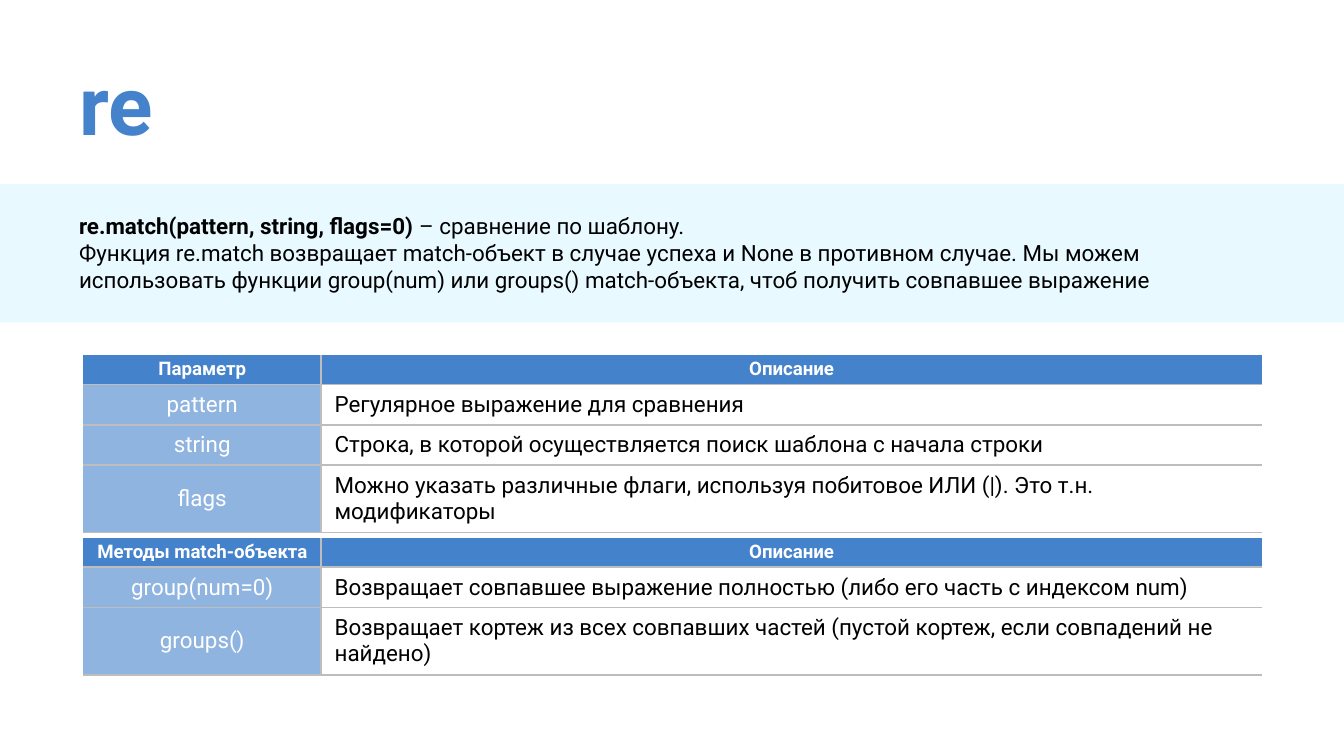
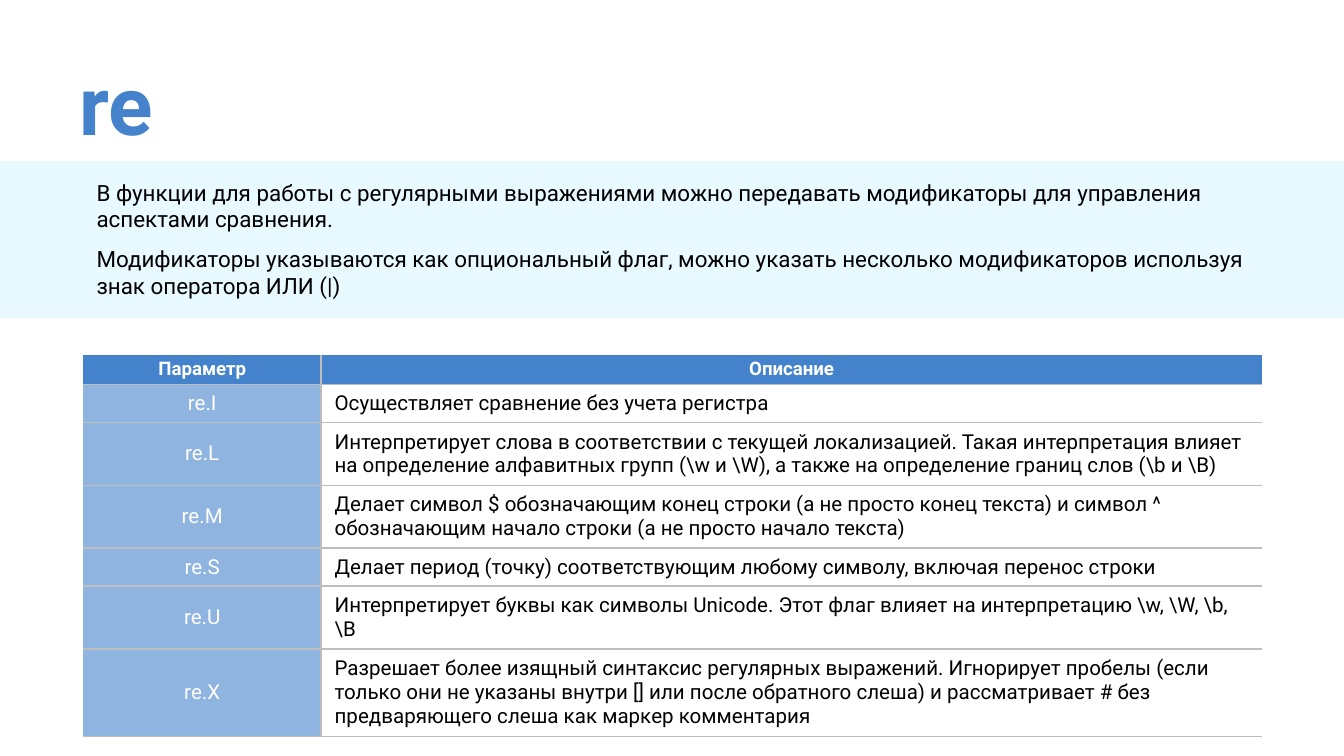
from pptx import Presentation
from pptx.dml.color import RGBColor
from pptx.enum.shapes import MSO_SHAPE
from pptx.enum.text import MSO_ANCHOR, MSO_AUTO_SIZE, PP_ALIGN
from pptx.util import Inches, Pt
from lxml.etree import SubElement
from pptx.oxml.ns import qn

# Colours
BLUE = RGBColor(0x44, 0x82, 0xCC)
SOFT = RGBColor(0x8F, 0xB4, 0xE0)
PALE = RGBColor(0xE8, 0xF9, 0xFF)
GREY = RGBColor(0xBD, 0xBD, 0xBD)
WHITE = RGBColor(0xFF, 0xFF, 0xFF)
BLACK = RGBColor(0x00, 0x00, 0x00)

# Grid
COLS = (1.77, 7)
LEFT, TOP, WIDE = 0.62, 2.64, 8.78
HEAD, ROW = 0.22, 0.2

# Content: band (top, height), text box (left, top, width, height),
# paragraphs as lists of (text, bold), tables as (top, height, size, rows)
PAGES = [
    {
        "band": (1.37, 1.03),
        "box": (0.49, 1.53, 8.9, 0.71),
        "gap": 0,
        "text": [
            [("re.match(pattern, string, flags=0) ", True),
             ("– сравнение по шаблону.", False)],
            [("Функция re.match возвращает match-объект в случае успеха и None "
              "в противном случае. Мы можем использовать функции group(num) или "
              "groups() match-объекта, чтоб получить совпавшее выражение", False)],
        ],
        "tables": [
            (TOP, 1.12, 12, [
                ("Параметр", "Описание"),
                ("pattern", "Регулярное выражение для сравнения"),
                ("string", "Строка, в которой осуществляется поиск шаблона "
                           "с начала строки"),
                ("flags", "Можно указать различные флаги, используя побитовое "
                          "ИЛИ (|). Это т.н. модификаторы"),
            ]),
            (4, 1.02, 12, [
                ("Методы match-объекта", "Описание"),
                ("group(num=0)", "Возвращает совпавшее выражение полностью "
                                 "(либо его часть с индексом num)"),
                ("groups()", "Возвращает кортеж из всех совпавших частей "
                             "(пустой кортеж, если совпадений не найдено)"),
            ]),
        ],
    },
    {
        "band": (1.2, 1.17),
        "box": (LEFT, 1.28, WIDE, 1.01),
        "gap": 7,
        "text": [
            [("В функции для работы с регулярными выражениями можно передавать "
              "модификаторы для управления аспектами сравнения.", False)],
            [("Модификаторы указываются как опциональный флаг, можно указать "
              "несколько модификаторов используя знак оператора ИЛИ (|)", False)],
        ],
        "tables": [
            (TOP, 2.66, 11, [
                ("Параметр", "Описание"),
                ("re.I", "Осуществляет сравнение без учета регистра"),
                ("re.L", "Интерпретирует слова в соответствии с текущей "
                         "локализацией. Такая интерпретация влияет на определение "
                         "алфавитных групп (\\w и \\W), а также на определение "
                         "границ слов (\\b и \\B)"),
                ("re.M", "Делает символ $ обозначающим конец строки (а не просто "
                         "конец текста) и символ ^ обозначающим начало строки "
                         "(а не просто начало текста)"),
                ("re.S", "Делает период (точку) соответствующим любому символу, "
                         "включая перенос строки"),
                ("re.U", "Интерпретирует буквы как символы Unicode. Этот флаг "
                         "влияет на интерпретацию \\w, \\W, \\b, \\B"),
                ("re.X", "Разрешает более изящный синтаксис регулярных выражений. "
                         "Игнорирует пробелы (если только они не указаны внутри [] "
                         "или после обратного слеша) и рассматривает # без "
                         "предваряющего слеша как маркер комментария"),
            ]),
        ],
    },
]


def write(para, text, size, color, bold=False):
    """Add a run in the deck's font."""
    run = para.add_run()
    run.text = text
    run.font.color.rgb = color
    look = {"name": "Roboto", "size": Pt(size), "bold": bold}
    for key, val in look.items():
        setattr(run.font, key, val)


def edge(cell, sides):
    """Rule the given sides of a cell in grey and clear the others."""
    props = cell._tc.get_or_add_tcPr()
    for side in "LRTB":
        line = SubElement(props, qn(f"a:ln{side}"), w=str(Pt(1)))
        if side in sides:
            fill = SubElement(line, qn("a:solidFill"))
            SubElement(fill, qn("a:srgbClr"), val=str(GREY))
        else:
            SubElement(line, qn("a:noFill"))


deck = Presentation()
deck.slide_width, deck.slide_height = Inches(10), Inches(5.625)

for page in PAGES:
    slide = deck.slides.add_slide(deck.slide_layouts[5])

    # Title
    title = slide.shapes.title
    spot = {"left": 0.49, "top": 0.26, "width": 9.75, "height": 0.76}
    for key, val in spot.items():
        setattr(title, key, Inches(val))
    frame = title.text_frame
    look = {"margin_left": Inches(0.1), "margin_right": Inches(0.1),
            "margin_top": Inches(0.14), "margin_bottom": Inches(0.1),
            "vertical_anchor": MSO_ANCHOR.TOP, "auto_size": MSO_AUTO_SIZE.NONE}
    for key, val in look.items():
        setattr(frame, key, val)
    para = frame.paragraphs[0]
    para.alignment = PP_ALIGN.LEFT
    write(para, "re", 44, BLUE, True)

    # Band across the slide
    top, high = page["band"]
    band = slide.shapes.add_shape(MSO_SHAPE.RECTANGLE, 0, Inches(top),
                                  deck.slide_width, Inches(high))
    band.shadow.inherit = False
    band.fill.solid()
    band.fill.fore_color.rgb = PALE
    band.line.fill.background()

    # Text on the band
    box = slide.shapes.add_textbox(*map(Inches, page["box"]))
    frame = box.text_frame
    frame.word_wrap = True
    frame.auto_size = MSO_AUTO_SIZE.SHAPE_TO_FIT_TEXT
    for i, runs in enumerate(page["text"]):
        para = frame.add_paragraph() if i else frame.paragraphs[0]
        if i:
            para.space_before = Pt(page["gap"])
        for text, bold in runs:
            write(para, text, 12, BLACK, bold)

    # Tables
    for top, high, size, rows in page["tables"]:
        shape = slide.shapes.add_table(len(rows), 2, Inches(LEFT), Inches(top),
                                       Inches(WIDE), Inches(high))
        table = shape.table
        table.first_row = table.horz_banding = False
        for c, wide in enumerate(COLS):
            table.columns[c].width = Inches(wide)
        for r, texts in enumerate(rows):
            table.rows[r].height = Inches(ROW if r else HEAD)
            for c, text in enumerate(texts):
                cell = table.cell(r, c)
                edge(cell, ("L" if c else "R") + ("TB" if r else "B"))
                cell.fill.solid()
                cell.fill.fore_color.rgb = (SOFT, WHITE)[c] if r else BLUE
                cell.vertical_anchor = MSO_ANCHOR.MIDDLE
                if r == 0:
                    cell.margin_left = cell.margin_right = Inches(0.06)
                    cell.margin_top = cell.margin_bottom = 0
                para = cell.text_frame.paragraphs[0]
                body = r > 0 and c == 1
                para.alignment = PP_ALIGN.LEFT if body else PP_ALIGN.CENTER
                write(para, text, size if r else 10,
                      BLACK if body else WHITE, r == 0)
        shape.height = Inches(high)

deck.save("out.pptx")
